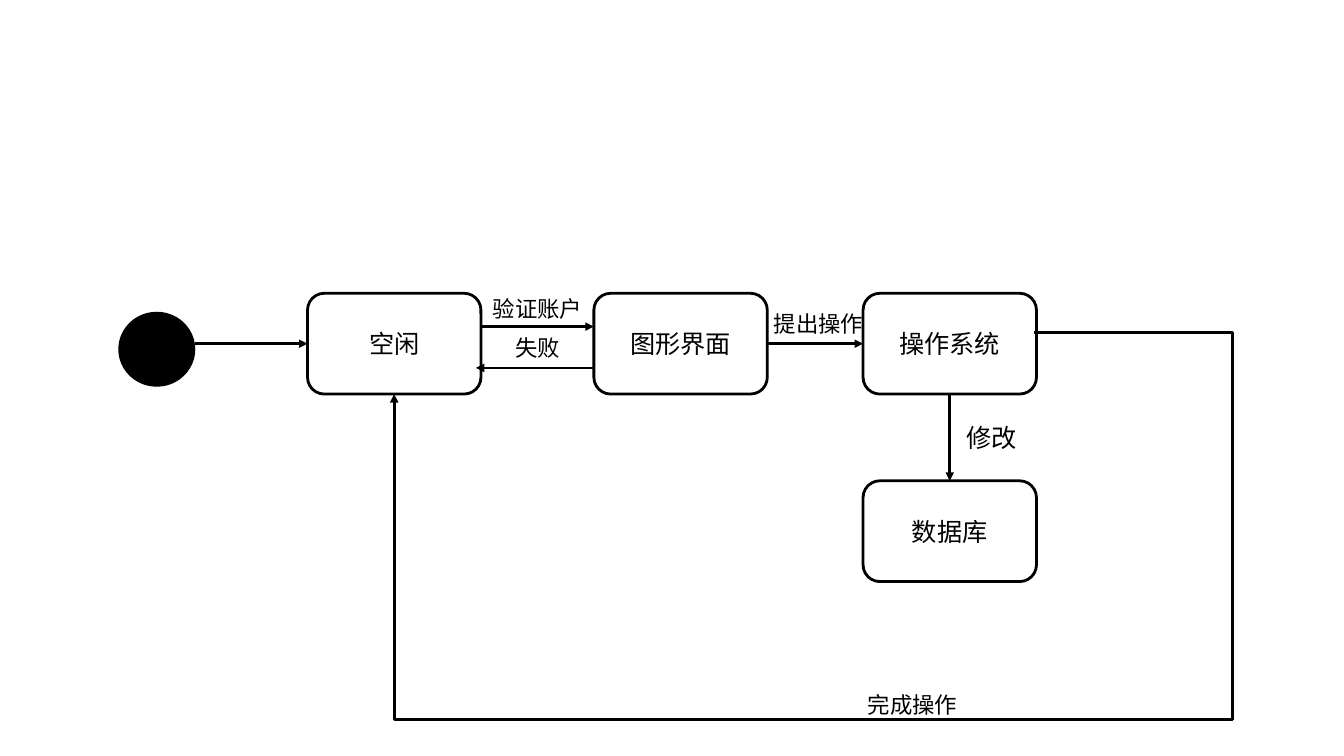
from lxml import etree
from pptx import Presentation
from pptx import util as u
from pptx.dml.color import RGBColor
from pptx.enum import shapes, text
from pptx.oxml.ns import qn

PX = 9144
FONT = "Noto Sans CJK SC"
BLACK, WHITE = "000000", "FFFFFF"
STATE_W, STATE_H = 172, 100
ROW_Y = 291
MID_Y = ROW_Y + STATE_H // 2


def px(*lengths):
    """Turn lengths in px into EMU."""
    return [n * PX for n in lengths]


def color(hex_code):
    """Turn a hex string into a colour."""
    return RGBColor.from_string(hex_code)


def write(tf, words, size=18, fill=BLACK, anchor=text.MSO_ANCHOR.MIDDLE):
    """Put one centred, formatted line into a text frame."""
    tf.word_wrap = True
    tf.vertical_anchor = anchor
    p = tf.paragraphs[0]
    p.alignment = text.PP_ALIGN.CENTER
    r = p.add_run()
    r.text = words
    r.font.size = u.Pt(size)
    r.font.name = FONT
    r.font.color.rgb = color(fill)
    etree.SubElement(r.font._element, qn("a:ea"), typeface=FONT)


def add_node(s, kind, box, fill, line_width):
    """Draw an outlined preset shape in the given box."""
    sp = s.shapes.add_shape(kind, *px(*box))
    sp.shadow.inherit = False
    sp.fill.solid()
    sp.fill.fore_color.rgb = color(fill)
    sp.line.color.rgb = color(BLACK)
    sp.line.width = u.Pt(line_width)
    return sp


def add_state(s, x, y, words):
    """Draw a rounded state with its name."""
    sp = add_node(s, shapes.MSO_SHAPE.ROUNDED_RECTANGLE, (x, y, STATE_W, STATE_H), WHITE, 2)
    write(sp.text_frame, words)
    return sp


def add_label(s, box, words, size=16):
    """Place the name of a transition."""
    tb = s.shapes.add_textbox(*px(*box))
    write(tb.text_frame, words, size, anchor=text.MSO_ANCHOR.TOP)


def add_arrow(s, start, end, kind=shapes.MSO_CONNECTOR.STRAIGHT, begin=None, finish=None):
    """Draw an arrow, joined to (shape, site) pairs where given."""
    cn = s.shapes.add_connector(kind, *px(*start, *end))
    if begin:
        cn.begin_connect(*begin)
    if finish:
        cn.end_connect(*finish)
    cn.line.color.rgb = color(BLACK)
    cn.line.width = u.Pt(2)
    etree.SubElement(cn.line._get_or_add_ln(), qn("a:tailEnd"), type="triangle")
    etree.SubElement(cn._element.spPr, qn("a:effectLst"))
    return cn


def add_return(s, start, end, right, bottom):
    """Route an arrow out to the right, down, back left and up to its end."""
    cn = add_arrow(s, start, end, shapes.MSO_CONNECTOR.ELBOW)
    geom = cn._element.spPr.find(qn("a:prstGeom"))
    geom.set("prst", "bentConnector4")
    av = geom.find(qn("a:avLst"))
    if av is None:
        av = etree.SubElement(geom, qn("a:avLst"))
    turns = ((right - start[0]) / (end[0] - start[0]),
             (bottom - start[1]) / (end[1] - start[1]))
    for i, turn in enumerate(turns, 1):
        etree.SubElement(av, qn("a:gd"), name=f"adj{i}", fmla=f"val {round(turn * 100000)}")


def build_main_row(s):
    """Draw the start point and the row of states, and return the first and last."""
    idle_x, gui_x, os_x = 305, 589, 856
    idle_right = idle_x + STATE_W
    add_node(s, shapes.MSO_SHAPE.OVAL, (118, 310, 75, 73), BLACK, 1)
    idle = add_state(s, idle_x, ROW_Y, "空闲")
    gui = add_state(s, gui_x, ROW_Y, "图形界面")
    system = add_state(s, os_x, ROW_Y, "操作系统")
    add_arrow(s, (193, MID_Y), (idle_x, MID_Y), finish=(idle, 1))
    add_arrow(s, (idle_right, 324), (gui_x, 324))
    add_arrow(s, (gui_x, 365), (idle_right - 5, 365))
    add_arrow(s, (gui_x + STATE_W, MID_Y), (os_x, MID_Y), begin=(gui, 3), finish=(system, 1))
    add_label(s, (idle_right, 288, 112, 37), "验证账户")
    add_label(s, (idle_right, 327, 112, 37), "失败")
    add_label(s, (720, 303, 184, 37), "提出操作")
    return idle, system


def build_database(s, system, x, y):
    """Draw the database state under the system and the arrow to it."""
    db = add_state(s, x, y, "数据库")
    mid = x + STATE_W // 2
    add_arrow(s, (mid, ROW_Y + STATE_H), (mid, y), begin=(system, 2), finish=(db, 0))
    add_label(s, (mid + 6, y - 63, 71, 40), "修改", 18)


def main():
    """Build the state diagram and save it."""
    prs = Presentation()
    prs.slide_width, prs.slide_height = px(1333, 750)
    s = prs.slides.add_slide(prs.slide_layouts[6])
    idle, system = build_main_row(s)
    build_database(s, system, 856, 477)
    add_return(s, (1026, 330), (391, ROW_Y + STATE_H), 1222, 714)
    add_label(s, (849, 681, 112, 37), "完成操作")
    prs.save("out.pptx")


if __name__ == "__main__":
    main()
